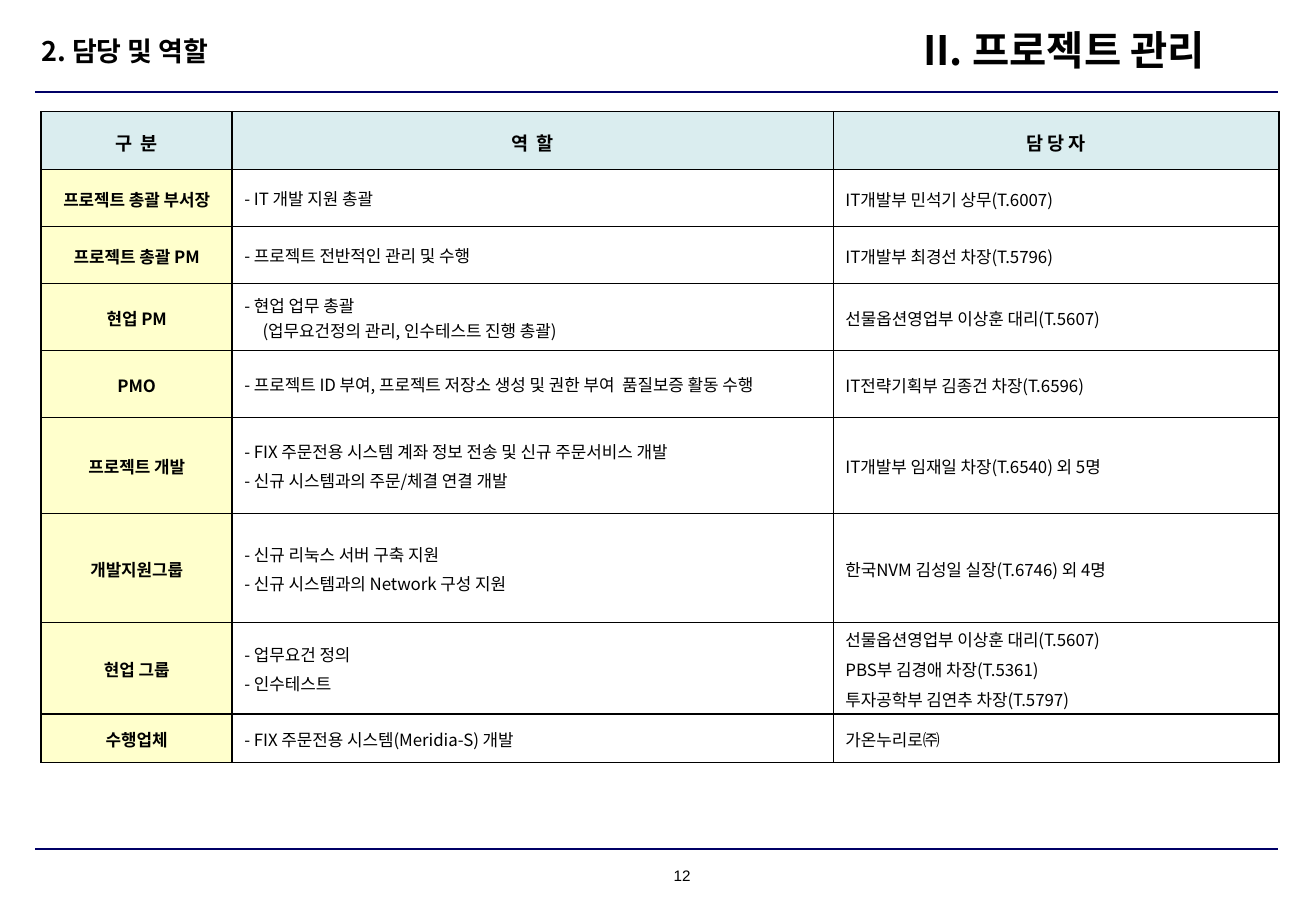
from dataclasses import dataclass

from pptx import Presentation
from pptx.dml.color import RGBColor
from pptx.enum.shapes import MSO_CONNECTOR
from pptx.enum.text import MSO_ANCHOR, MSO_AUTO_SIZE, PP_ALIGN
from pptx.oxml.ns import qn
from pptx.util import Pt
from lxml.etree import SubElement


@dataclass(frozen=True)
class Theme:
    body_font: str = "Noto Sans CJK KR"
    number_font: str = "Arial"
    ink: str = "000000"
    rule: str = "000066"
    header_fill: str = "DAEDEF"
    label_fill: str = "FFFFCC"
    chapter_size: float = 24
    section_size: float = 16
    header_size: float = 11
    body_size: float = 10
    number_size: float = 9


THEME = Theme()
HANGING = 27.4
NARROW_HANGING = 8.6
COLUMN_WIDTHS = (113.2, 356.3, 264.3)
ROW_HEIGHTS = (34.4, 33.8, 33.8, 39.7, 39.7, 56.9, 64.7, 47.5, 28.7)
HEADERS = ("구  분", "역  할", "담 당 자")
ASSIGNMENTS = (
    ("프로젝트 총괄 부서장", ["- IT 개발 지원 총괄"], ["IT개발부 민석기 상무(T.6007)"]),
    ("프로젝트 총괄 PM", ["- 프로젝트 전반적인 관리 및 수행"], ["IT개발부 최경선 차장(T.5796)"]),
    ("현업 PM", ["- 현업 업무 총괄\n (업무요건정의 관리, 인수테스트 진행 총괄)"],
     ["선물옵션영업부 이상훈 대리(T.5607)"]),
    ("PMO", ["- 프로젝트 ID 부여, 프로젝트 저장소 생성 및 권한 부여  품질보증 활동 수행"],
     ["IT전략기획부 김종건 차장(T.6596)"]),
    ("프로젝트 개발",
     ["- FIX 주문전용 시스템 계좌 정보 전송 및 신규 주문서비스 개발",
      "- 신규 시스템과의 주문/체결 연결 개발"],
     ["IT개발부 임재일 차장(T.6540) 외 5명"]),
    ("개발지원그룹",
     ["- 신규 리눅스 서버 구축 지원", "- 신규 시스템과의 Network 구성 지원"],
     ["한국NVM 김성일 실장(T.6746) 외 4명"]),
    ("현업 그룹", ["- 업무요건 정의", "- 인수테스트"],
     ["선물옵션영업부 이상훈 대리(T.5607)", "PBS부 김경애 차장(T.5361)",
      "투자공학부 김연추 차장(T.5797)"]),
    ("수행업체", ["- FIX 주문전용 시스템(Meridia-S) 개발"], ["가온누리로㈜"]),
)


def format_runs(paragraph, size, bold=False, font=THEME.body_font):
    for run in paragraph.runs:
        run.font.size = Pt(size)
        run.font.bold = bold
        run.font.name = font
        run.font.color.rgb = RGBColor.from_string(THEME.ink)
        SubElement(run.font._element, qn("a:ea"), typeface=font)


def add_rule(slide, y):
    rule = slide.shapes.add_connector(MSO_CONNECTOR.STRAIGHT, Pt(21), Pt(y), Pt(757.5), Pt(y))
    rule.line.color.rgb = RGBColor.from_string(THEME.rule)
    rule.line.width = Pt(0.75)
    SubElement(rule._element.spPr, qn("a:effectLst"))


def add_text(slide, text, box, size, anchor, bold=True, font=THEME.body_font,
             align=PP_ALIGN.LEFT, wrap=True):
    frame = slide.shapes.add_textbox(*map(Pt, box)).text_frame
    frame.margin_left = frame.margin_right = frame.margin_top = frame.margin_bottom = 0
    frame.word_wrap = wrap
    frame.auto_size = MSO_AUTO_SIZE.NONE
    frame.vertical_anchor = anchor
    frame.text = text
    frame.paragraphs[0].alignment = align
    format_runs(frame.paragraphs[0], size, bold, font)


def add_borders(cell):
    properties = cell._tc.get_or_add_tcPr()
    for side in ("lnL", "lnR", "lnT", "lnB"):
        border = SubElement(properties, qn(f"a:{side}"), w=str(Pt(1)))
        fill = SubElement(border, qn("a:solidFill"))
        SubElement(fill, qn("a:srgbClr"), val=THEME.ink)


def fill_cell(cell, lines, fill=None, size=THEME.body_size, bold=False,
              align=PP_ALIGN.LEFT, line_spacing=1.1, space_before=2):
    cell.margin_left = cell.margin_right = Pt(7.2)
    cell.margin_top = cell.margin_bottom = Pt(1.44)
    cell.vertical_anchor = MSO_ANCHOR.MIDDLE
    add_borders(cell)
    if fill:
        cell.fill.solid()
        cell.fill.fore_color.rgb = RGBColor.from_string(fill)
    else:
        cell.fill.background()
    frame = cell.text_frame
    for index, line in enumerate(lines):
        paragraph = frame.add_paragraph() if index else frame.paragraphs[0]
        paragraph.text = line
        paragraph.alignment = align
        paragraph.line_spacing = line_spacing
        paragraph.space_before = Pt(space_before)
        hanging = Pt(NARROW_HANGING if "\n" in line else HANGING)
        indents = paragraph._p.get_or_add_pPr()
        indents.set("marL", str(hanging))
        indents.set("indent", str(-hanging))
        format_runs(paragraph, size, bold)


def add_assignment_table(slide):
    table = slide.shapes.add_table(
        len(ROW_HEIGHTS), len(COLUMN_WIDTHS), Pt(24.4), Pt(66.1),
        Pt(sum(COLUMN_WIDTHS)), Pt(sum(ROW_HEIGHTS))).table
    table.first_row = table.horz_banding = False
    for column, width in zip(table.columns, COLUMN_WIDTHS):
        column.width = Pt(width)
    for row, height in zip(table.rows, ROW_HEIGHTS):
        row.height = Pt(height)
    for column, header in enumerate(HEADERS):
        fill_cell(table.cell(0, column), [header], THEME.header_fill,
                  THEME.header_size, True, PP_ALIGN.CENTER)
    for row, (label, roles, owners) in enumerate(ASSIGNMENTS, start=1):
        fill_cell(table.cell(row, 0), [label], THEME.label_fill, bold=True,
                  align=PP_ALIGN.CENTER, space_before=5)
        fill_cell(table.cell(row, 1), roles, line_spacing=1.05)
        fill_cell(table.cell(row, 2), owners)


def main():
    deck = Presentation()
    deck.slide_width, deck.slide_height = Pt(780), Pt(540)
    slide = deck.slides.add_slide(deck.slide_layouts[6])
    for y in (54.5, 503.3):
        add_rule(slide, y)
    add_text(slide, "12", (378.7, 513.4, 51.1, 15.8), THEME.number_size, MSO_ANCHOR.TOP,
             bold=False, font=THEME.number_font, align=PP_ALIGN.CENTER)
    add_assignment_table(slide)
    add_text(slide, "2. 담당 및 역할", (24.5, 20.2, 196.6, 19.4),
             THEME.section_size, MSO_ANCHOR.BOTTOM)
    add_text(slide, "II. 프로젝트 관리", (547.2, 8.6, 202.3, 41.8),
             THEME.chapter_size, MSO_ANCHOR.MIDDLE, wrap=False)
    deck.save("out.pptx")


if __name__ == "__main__":
    main()
